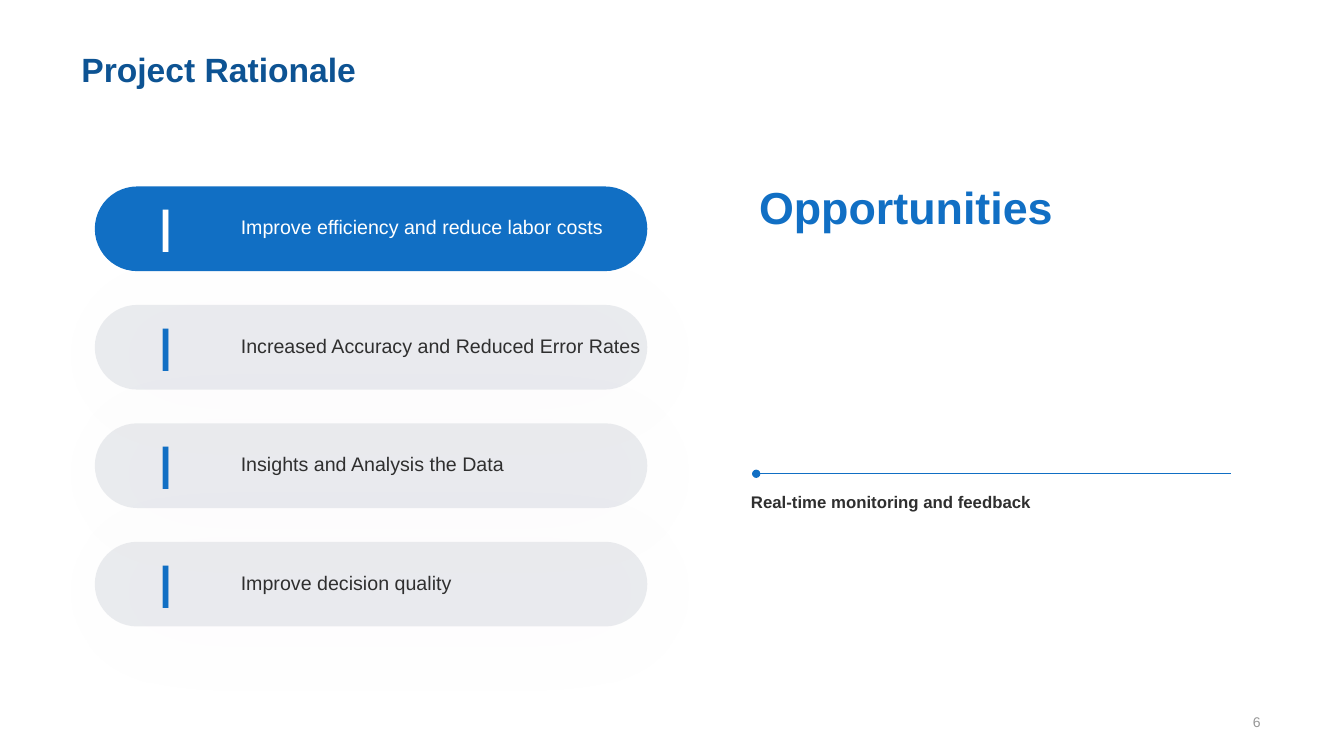
"""Build the Project Rationale slide with its list of opportunities."""
from lxml.etree import SubElement
from pptx import Presentation
from pptx.dml.color import RGBColor
from pptx.enum.shapes import MSO_CONNECTOR, MSO_SHAPE
from pptx.enum.text import MSO_ANCHOR, PP_ALIGN
from pptx.oxml.ns import qn
from pptx.util import Inches, Pt

COLORS = {
    "blue": "116FC4",
    "navy": "0D5393",
    "slate": "778495",
    "violet": "8E7EF0",
    "ink": "2F2F2F",
    "gray": "979797",
    "white": "FFFFFF",
}
OPPORTUNITIES = [
    ("Improve efficiency and reduce labor costs", 3.93),
    ("Increased Accuracy and Reduced Error Rates", 4.25),
    ("Insights and Analysis the Data", 3.93),
    ("Improve decision quality", 3.93),
]
PILL_TOP = 1.85
PILL_PITCH = 1.175
PILL_HEIGHT = 0.84


def rgb(name):
    """Return the named colour."""
    return RGBColor.from_string(COLORS[name])


def apply(target, values):
    """Set each attribute of the target from a dict."""
    for name, value in values.items():
        setattr(target, name, value)


def add_text(page, text, place, size, color, bold=False, anchor=MSO_ANCHOR.TOP, **para_format):
    """Add a one-paragraph text box."""
    box = page.shapes.add_textbox(*map(Inches, place))
    apply(box.text_frame, {"word_wrap": True, "vertical_anchor": anchor})
    para = box.text_frame.paragraphs[0]
    apply(para, para_format)
    span = para.add_run()
    span.text = text
    apply(span.font, {"name": "Arial", "size": Pt(size), "bold": bold})
    span.font.color.rgb = rgb(color)


def add_alpha(color_element, percent):
    """Give a colour element an opacity in percent."""
    SubElement(color_element, qn("a:alpha"), val=str(percent * 1000))


def add_glow_shadow(shape):
    """Add a wide, faint outer shadow to a shape."""
    effects = shape.element.spPr.find(qn("a:effectLst"))
    shadow = SubElement(
        effects, qn("a:outerShdw"), blurRad=str(Pt(80)), dist=str(Pt(8)),
        dir=str(40 * 60000), algn="tl", rotWithShape="0",
    )
    add_alpha(SubElement(shadow, qn("a:srgbClr"), val=COLORS["violet"]), 10)


def add_pill(page, top, active):
    """Add a rounded bar, solid when active and translucent otherwise."""
    pill = page.shapes.add_shape(
        MSO_SHAPE.ROUNDED_RECTANGLE, *map(Inches, (0.94, top, 5.48, PILL_HEIGHT)))
    pill.adjustments[0] = 0.5
    pill.shadow.inherit = False
    pill.line.fill.background()
    pill.fill.solid()
    pill.fill.fore_color.rgb = rgb("blue" if active else "slate")
    if not active:
        fill = pill.element.spPr.find(qn("a:solidFill"))
        add_alpha(fill.find(qn("a:srgbClr")), 15)
        add_glow_shadow(pill)


def add_opportunity(page, index, text, width):
    """Add one list row: pill, label and marker."""
    top = PILL_TOP + index * PILL_PITCH
    active = index == 0
    add_pill(page, top, active)
    add_text(page, text, (2.29, top + 0.12, width, 0.41), 14,
             "white" if active else "ink", line_spacing=1.5)
    add_text(page, "I", (1.33, top, 0.64, PILL_HEIGHT), 44,
             "white" if active else "blue", alignment=PP_ALIGN.CENTER)


def add_dotted_rule(page, left, right, y):
    """Add a horizontal rule that starts with a dot."""
    rule = page.shapes.add_connector(
        MSO_CONNECTOR.STRAIGHT, *map(Inches, (left, y, right, y)))
    rule.line.color.rgb = rgb("blue")
    rule.line.width = Pt(1)
    properties = rule.element.spPr
    SubElement(properties.find(qn("a:ln")), qn("a:headEnd"), type="oval")
    SubElement(properties, qn("a:effectLst"))


def main():
    """Build and save the deck."""
    deck = Presentation()
    apply(deck, {"slide_width": Inches(13.33), "slide_height": Inches(7.5)})
    page = deck.slides.add_slide(deck.slide_layouts[6])
    add_text(page, "Project Rationale", (0.71, 0.44, 6.7, 0.5), 24, "navy", bold=True)
    for index, (text, width) in enumerate(OPPORTUNITIES):
        add_opportunity(page, index, text, width)
    add_text(page, "Opportunities", (7.43, 1.73, 4.96, 0.64), 32, "blue", bold=True)
    add_dotted_rule(page, 7.5, 12.21, 4.7)
    add_text(page, "Real-time monitoring and feedback", (7.35, 4.83, 3.8, 0.3), 12,
             "ink", bold=True)
    add_text(page, "6", (9.69, 7.04, 2.91, 0.24), 10, "gray",
             anchor=MSO_ANCHOR.MIDDLE, alignment=PP_ALIGN.RIGHT)
    deck.save("out.pptx")


if __name__ == "__main__":
    main()
